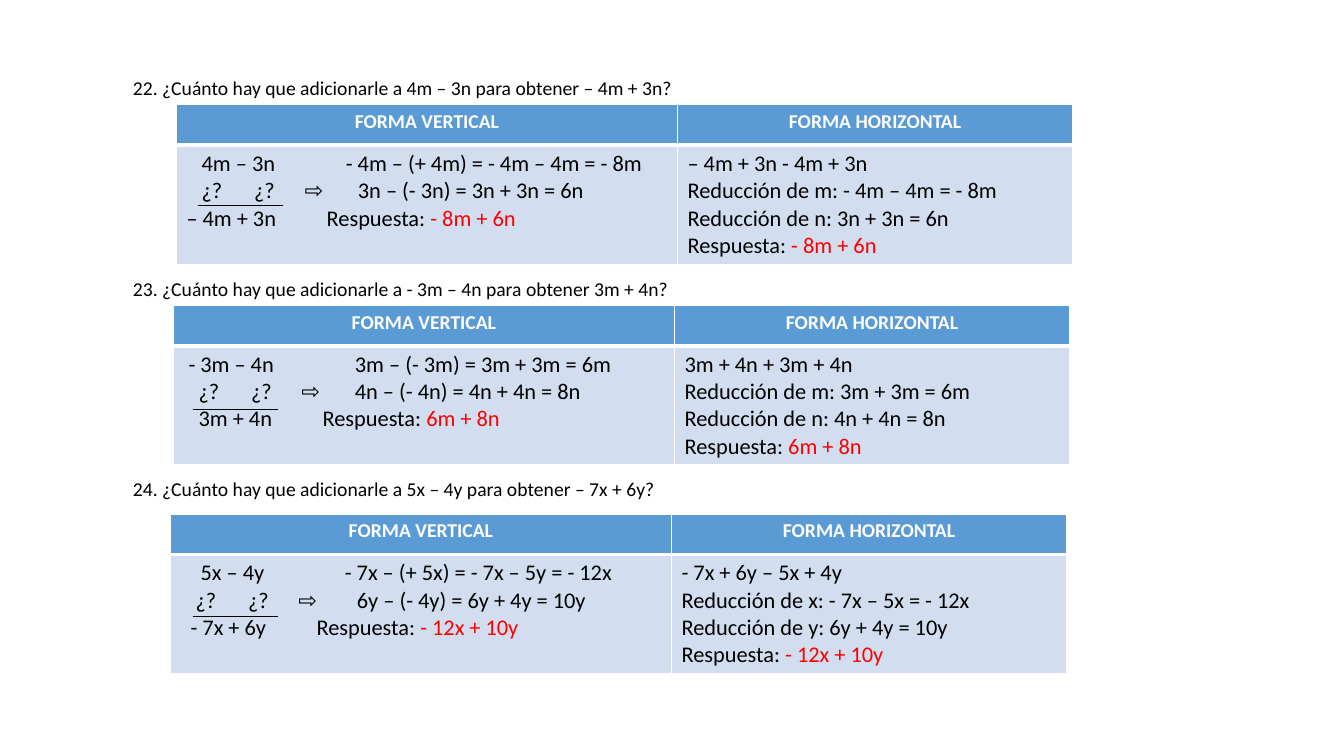
from lxml.etree import SubElement as Sub
from pptx import Presentation
from pptx.dml.color import RGBColor
from pptx.enum.text import PP_ALIGN as Align
from pptx.oxml.ns import qn
from pptx.util import Inches as In, Pt

BLACK, WHITE, RED = "000000", "FFFFFF", "FF0000"
BLUE, PALE = "5B9BD5", "D2DEEF"
COLS, ROWS = (4.97, 3.92), (0.4, 1.18)
HEADS = ("FORMA VERTICAL", "FORMA HORIZONTAL")
MARKS = [(0.15, "¿?"), (0.67, "¿?"), (1.17, "⇨")]


def color(text):
    return RGBColor.from_string(text)


def add_run(para, text, size, tint=BLACK, bold=False):
    run = para.add_run()
    run.text = text
    font = run.font
    font.name, font.size, font.bold = "Calibri", Pt(size), bold
    font.color.rgb = color(tint)


# Question box, table origin, rule origin, vertical sum with tab stops, steps, answer
TASKS = [
    dict(ask="22. ¿Cuánto hay que adicionarle a 4m – 3n para obtener – 4m + 3n?",
         box=(0.75, 5.74, 0.3), grid=(1.75, 1.04), rule=(1.96, 2.04),
         sums=[[(0.15, "4m – 3n"), (1.58, "- 4m – (+ 4m) = - 4m – 4m = - 8m")],
               MARKS + [(1.7, "3n – (- 3n) = 3n + 3n = 6n")],
               [(0, "– 4m + 3n"), (1.39, "Respuesta: ")]],
         steps=["– 4m + 3n - 4m + 3n", "Reducción de m: - 4m – 4m = - 8m",
                "Reducción de n: 3n + 3n = 6n"],
         answer="- 8m + 6n"),
    dict(ask="23. ¿Cuánto hay que adicionarle a - 3m – 4n para obtener 3m + 4n?",
         box=(2.7, 6.67, 0.34), grid=(1.72, 3.03), rule=(1.91, 4.06),
         sums=[[(0.05, "- 3m – 4n"), (1.7, "3m – (- 3m) = 3m + 3m = 6m")],
               MARKS + [(1.7, "4n – (- 4n) = 4n + 4n = 8n")],
               [(0.15, "3m + 4n"), (1.38, "Respuesta: ")]],
         steps=["3m + 4n + 3m + 4n", "Reducción de m: 3m + 3m = 6m",
                "Reducción de n: 4n + 4n = 8n"],
         answer="6m + 8n"),
    dict(ask="24. ¿Cuánto hay que adicionarle a 5x – 4y para obtener – 7x + 6y?",
         box=(4.68, 6.67, 0.34), grid=(1.69, 5.1), rule=(1.91, 6.11),
         sums=[[(0.2, "5x – 4y"), (1.63, "- 7x – (+ 5x) = - 7x – 5y = - 12x")],
               MARKS + [(1.75, "6y – (- 4y) = 6y + 4y = 10y")],
               [(0.1, "- 7x + 6y"), (1.35, "Respuesta: ")]],
         steps=["- 7x + 6y – 5x + 4y", "Reducción de x: - 7x – 5x = - 12x",
                "Reducción de y: 6y + 4y = 10y"],
         answer="- 12x + 10y"),
]

deck = Presentation()
deck.slide_width, deck.slide_height = In(13.33), In(7.5)
slide = deck.slides.add_slide(deck.slide_layouts[6])
shapes = slide.shapes

for num, task in enumerate(TASKS):
    # Question
    top, wide, high = task["box"]
    frame = shapes.add_textbox(In(1.22), In(top), In(wide), In(high)).text_frame
    frame.word_wrap = True
    para = frame.paragraphs[0]
    if num == 0:
        para.line_spacing = 0.8
    add_run(para, task["ask"], 14)

    # Table frame
    left, top = task["grid"]
    table = shapes.add_table(2, 2, In(left), In(top), In(sum(COLS)), In(sum(ROWS))).table
    for col, wide in zip(table.columns, COLS):
        col.width = In(wide)
    for row, high in zip(table.rows, ROWS):
        row.height = In(high)

    # Cell borders and fills
    for r in range(2):
        for c in range(2):
            cell = table.cell(r, c)
            props = cell._tc.get_or_add_tcPr()
            for side in "LRTB":
                thick = (r, side) in ((0, "B"), (1, "T"))
                line = Sub(props, qn(f"a:ln{side}"), w=str(Pt(3 if thick else 1)))
                Sub(Sub(line, qn("a:solidFill")), qn("a:srgbClr"), val=WHITE)
            cell.fill.solid()
            cell.fill.fore_color.rgb = color(PALE if r else BLUE)

    # Header row
    for c, head in enumerate(HEADS):
        para = table.cell(0, c).text_frame.paragraphs[0]
        para.alignment = Align.CENTER
        add_run(para, head, 14, WHITE, True)

    # Working: vertical parts sit on tab stops, horizontal steps are plain lines
    steps = [[(0, step)] for step in task["steps"] + ["Respuesta: "]]
    for c, lines in enumerate((task["sums"], steps)):
        frame = table.cell(1, c).text_frame
        for i, parts in enumerate(lines):
            para = frame.add_paragraph() if i else frame.paragraphs[0]
            stops = [stop for stop, _ in parts if stop]
            if stops:
                tabs = Sub(para._p.get_or_add_pPr(), qn("a:tabLst"))
                for stop in stops:
                    Sub(tabs, qn("a:tab"), pos=str(In(stop)), algn="l")
            for stop, text in parts:
                add_run(para, "\t" + text if stop else text, 16)
        add_run(para, task["answer"], 16, RED)

# Sum rules, above the tables
for task in TASKS:
    x, y = task["rule"]
    rule = shapes.add_connector(1, In(x), In(y), In(x + 0.85), In(y))
    rule.line.color.rgb = color(BLACK)
    rule.line.width = Pt(0.5)
    Sub(rule._element.spPr, qn("a:effectLst"))

deck.save("out.pptx")
